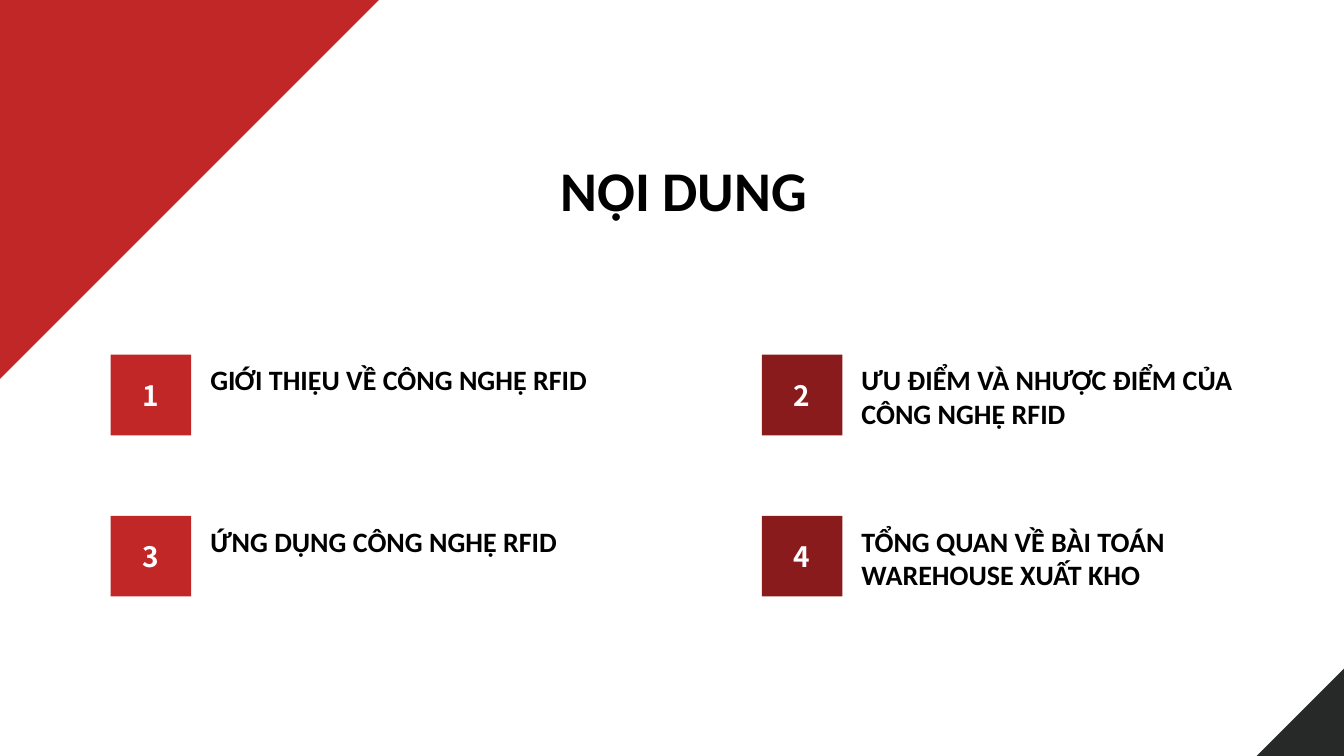
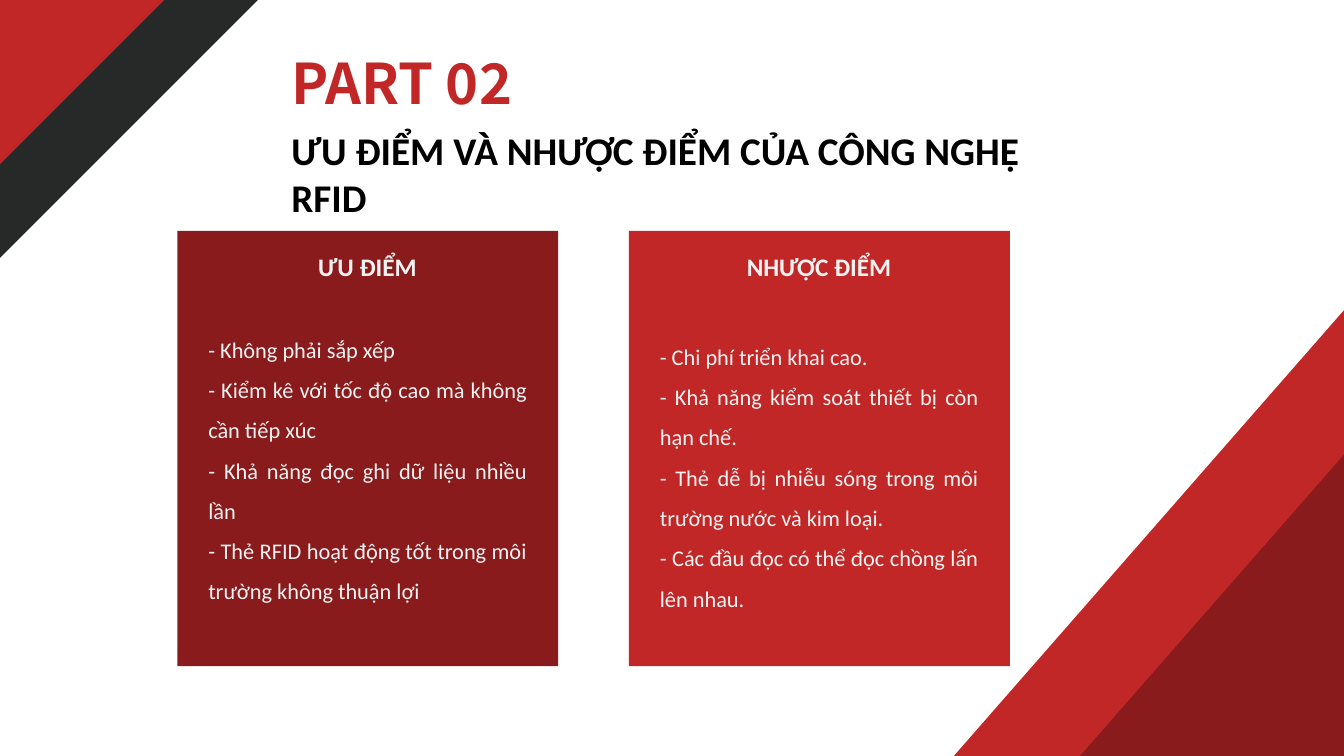
"""Build two slides on the strengths and weaknesses of RFID technology."""
from dataclasses import dataclass

from pptx import Presentation
from pptx.dml.color import RGBColor
from pptx.enum.shapes import MSO_SHAPE
from pptx.enum.text import MSO_ANCHOR, MSO_AUTO_SIZE, PP_ALIGN
from pptx.oxml.ns import qn
from pptx.util import Cm, Pt

RED = RGBColor(0xC2, 0x27, 0x27)
MAROON = RGBColor(0x89, 0x1B, 0x1C)
CHARCOAL = RGBColor(0x27, 0x29, 0x28)
BLACK = RGBColor(0x00, 0x00, 0x00)
WHITE = RGBColor(0xFF, 0xFF, 0xFF)
PALE = RGBColor(0xF2, 0xF2, 0xF2)

SLIDE_WIDTH, SLIDE_HEIGHT = 33.87, 19.05
TITLE_ONLY = 5
BODY_FONT = "Calibri"
NUMBER_FONT = "Noto Sans CJK SC"
ITEM_LEFT, ITEM_TOP, ITEM_PITCH_X, ITEM_PITCH_Y = 2.79, 8.94, 16.41, 4.06
ITEM_SIZE, ITEM_COLUMNS = 2.03, 2
CARD_LEFT, CARD_TOP, CARD_PITCH = 4.47, 5.82, 11.38
CARD_WIDTH, CARD_HEIGHT = 9.6, 10.97


@dataclass(frozen=True)
class Area:
    """A rectangle in centimetres."""
    left: float
    top: float
    width: float
    height: float

    def lengths(self):
        """Return left, top, width and height as lengths."""
        return [Cm(value) for value in (self.left, self.top, self.width, self.height)]


@dataclass(frozen=True)
class Style:
    """The look of a block of text."""
    size: int
    color: RGBColor
    name: str = BODY_FONT
    bold: bool = True
    align: PP_ALIGN = PP_ALIGN.LEFT
    spacing: float = 1.0


@dataclass(frozen=True)
class Corner:
    """A triangle in the top left or bottom right corner."""
    width: float
    height: float
    color: RGBColor
    at_top: bool = False


@dataclass(frozen=True)
class Item:
    """A numbered entry of the contents."""
    text: str
    width: float


@dataclass(frozen=True)
class Card:
    """A coloured panel with a heading and points."""
    heading: str
    color: RGBColor
    body_offset: float
    points: tuple[str, ...]


CONTENTS_TITLE = Style(40, BLACK, align=PP_ALIGN.JUSTIFY)
PART_TITLE = Style(28, BLACK)
PART_LABEL = Style(40, RED, NUMBER_FONT)
ITEM_LABEL = Style(20, BLACK)
ITEM_NUMBER = Style(20, WHITE, NUMBER_FONT, align=PP_ALIGN.CENTER)
CARD_HEADING = Style(18, PALE, align=PP_ALIGN.CENTER)
CARD_BODY = Style(16, PALE, bold=False, align=PP_ALIGN.JUSTIFY, spacing=1.5)

CONTENTS_CORNERS = (
    Corner(9.55, 9.55, RED, at_top=True),
    Corner(2.2, 2.2, CHARCOAL),
)
PART_CORNERS = (
    Corner(6.5, 6.5, CHARCOAL, at_top=True),
    Corner(4.14, 4.14, RED, at_top=True),
    Corner(9.83, 11.23, RED),
    Corner(6.65, 7.59, MAROON),
)
ITEMS = (
    Item("GIỚI THIỆU VỀ CÔNG NGHỆ RFID", 13.59),
    Item("ƯU ĐIỂM VÀ NHƯỢC ĐIỂM CỦA CÔNG NGHỆ RFID", 10.19),
    Item("ỨNG DỤNG CÔNG NGHỆ RFID", 13),
    Item("TỔNG QUAN VỀ BÀI TOÁN WAREHOUSE XUẤT KHO", 8.36),
)
CARDS = (
    Card("ƯU ĐIỂM", MAROON, 2.18, (
        "- Không phải sắp xếp",
        "- Kiểm kê với tốc độ cao mà không cần tiếp xúc",
        "- Khả năng đọc ghi dữ liệu nhiều lần",
        "- Thẻ RFID hoạt động tốt trong môi trường không thuận lợi",
    )),
    Card("NHƯỢC ĐIỂM", RED, 2.36, (
        "- Chi phí triển khai cao.",
        "- Khả năng kiểm soát thiết bị còn hạn chế.",
        "- Thẻ dễ bị nhiễu sóng trong môi trường nước và kim loại.",
        "- Các đầu đọc có thể đọc chồng lấn lên nhau.",
    )),
)


def set_values(target, values: dict) -> None:
    """Set each named attribute on the target."""
    for name, value in values.items():
        setattr(target, name, value)


def write(shape, lines: tuple[str, ...], style: Style, anchor=MSO_ANCHOR.TOP) -> None:
    """Fill a shape with one styled paragraph per line."""
    frame = shape.text_frame
    set_values(frame, {"word_wrap": True, "auto_size": MSO_AUTO_SIZE.NONE,
                       "vertical_anchor": anchor})
    for index, line in enumerate(lines):
        para = frame.paragraphs[0] if index == 0 else frame.add_paragraph()
        set_values(para, {"alignment": style.align, "line_spacing": style.spacing,
                          "space_before": Pt(0)})
        span = para.add_run()
        span.text = line
        set_values(span.font, {"name": style.name, "size": Pt(style.size),
                               "bold": style.bold})
        span.font.color.rgb = style.color


def add_text(page, area: Area, lines: tuple[str, ...], style: Style) -> None:
    """Add a wrapped text box."""
    write(page.shapes.add_textbox(*area.lengths()), lines, style)


def add_filled(page, kind: MSO_SHAPE, area: Area, color: RGBColor):
    """Add a flat shape without outline or shadow."""
    shape = page.shapes.add_shape(kind, *area.lengths())
    shape.shadow.inherit = False
    shape.fill.solid()
    shape.fill.fore_color.rgb = color
    shape.line.fill.background()
    return shape


def add_corner(page, corner: Corner) -> None:
    """Add a right triangle that fills a slide corner."""
    left = 0 if corner.at_top else SLIDE_WIDTH - corner.width
    top = 0 if corner.at_top else SLIDE_HEIGHT - corner.height
    area = Area(left, top, corner.width, corner.height)
    shape = add_filled(page, MSO_SHAPE.RIGHT_TRIANGLE, area, corner.color)
    frame = shape.element.spPr.find(qn("a:xfrm"))
    frame.set("flipV" if corner.at_top else "flipH", "1")


def add_page(deck, title: str, area: Area, style: Style, corners: tuple[Corner, ...]):
    """Add a titled slide with its corner triangles."""
    page = deck.slides.add_slide(deck.slide_layouts[TITLE_ONLY])
    heading = page.shapes.title
    set_values(heading, dict(zip(("left", "top", "width", "height"), area.lengths())))
    write(heading, (title,), style)
    for corner in corners:
        add_corner(page, corner)
    return page


def add_item(page, index: int, item: Item) -> None:
    """Add a numbered square and its label to the grid."""
    row, column = divmod(index, ITEM_COLUMNS)
    left = ITEM_LEFT + column * ITEM_PITCH_X
    top = ITEM_TOP + row * ITEM_PITCH_Y
    square = add_filled(page, MSO_SHAPE.RECTANGLE, Area(left, top, ITEM_SIZE, ITEM_SIZE),
                        MAROON if column else RED)
    write(square, (str(index + 1),), ITEM_NUMBER, MSO_ANCHOR.MIDDLE)
    add_text(page, Area(left + 2.26, top + 0.08, item.width, 1.96), (item.text,), ITEM_LABEL)


def add_card(page, index: int, card: Card) -> None:
    """Add a panel with its heading and points."""
    left = CARD_LEFT + index * CARD_PITCH
    add_filled(page, MSO_SHAPE.RECTANGLE, Area(left, CARD_TOP, CARD_WIDTH, CARD_HEIGHT),
               card.color)
    add_text(page, Area(left + 1.45, CARD_TOP + 0.38, 6.68, 1.02), (card.heading,),
             CARD_HEADING)
    add_text(page, Area(left + 0.53, CARD_TOP + card.body_offset, 8.53, 7.44),
             card.points, CARD_BODY)


def main() -> None:
    """Build and save the deck."""
    deck = Presentation()
    set_values(deck, {"slide_width": Cm(SLIDE_WIDTH), "slide_height": Cm(SLIDE_HEIGHT)})

    contents = add_page(deck, "NỘI DUNG", Area(13.87, 3.78, 7.09, 1.96),
                        CONTENTS_TITLE, CONTENTS_CORNERS)
    for index, item in enumerate(ITEMS):
        add_item(contents, index, item)

    part = add_page(deck, "ƯU ĐIỂM VÀ NHƯỢC ĐIỂM CỦA CÔNG NGHỆ RFID",
                    Area(7.09, 3.05, 20.8, 2.44), PART_TITLE, PART_CORNERS)
    add_text(part, Area(7.09, 1.09, 7.72, 1.96), ("PART 02",), PART_LABEL)
    for index, card in enumerate(CARDS):
        add_card(part, index, card)

    deck.save("out.pptx")


if __name__ == "__main__":
    main()
